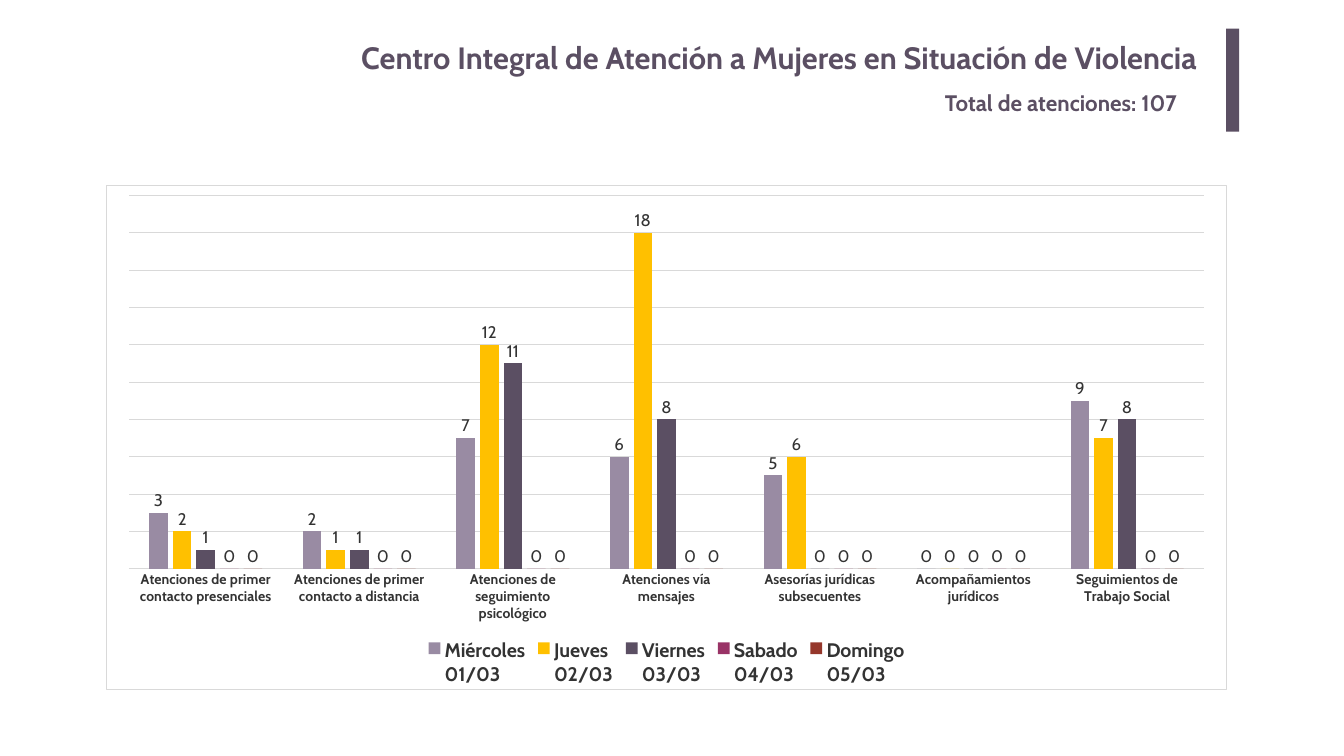
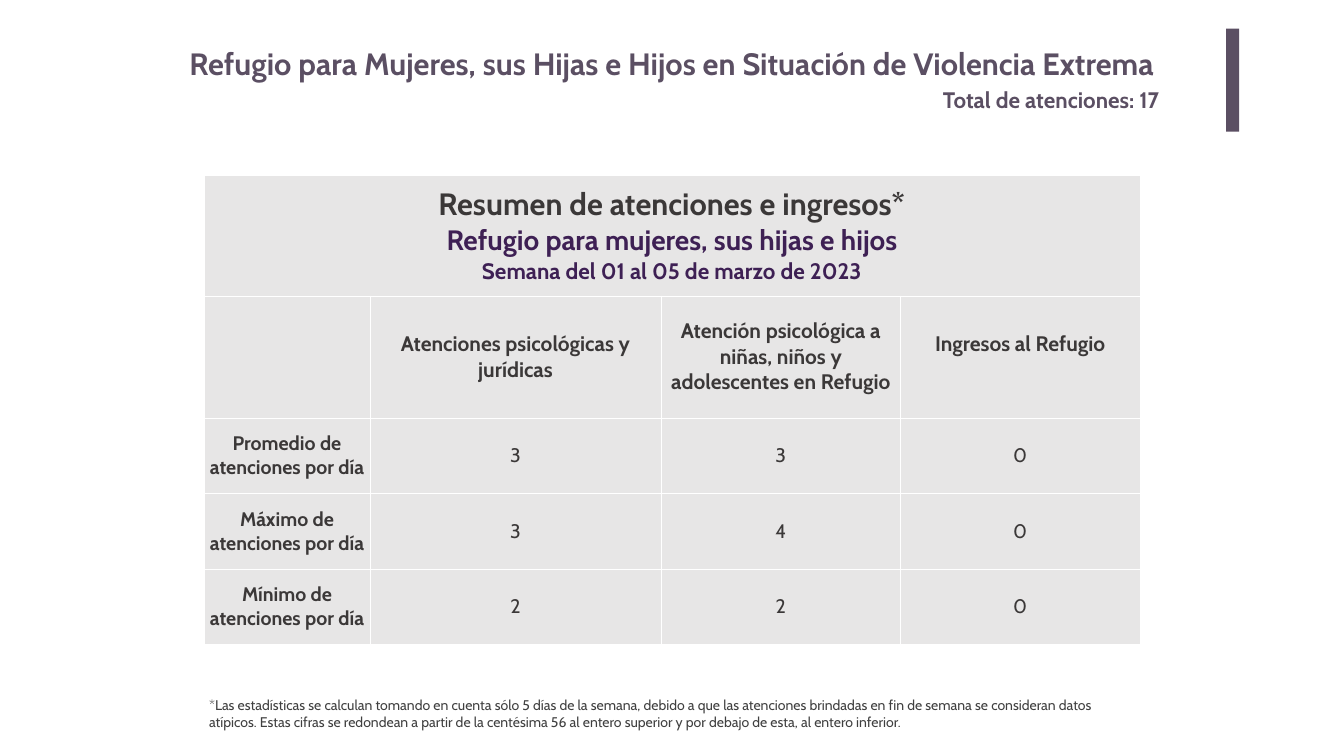
from dataclasses import dataclass

from lxml import etree
from pptx import Presentation
from pptx import util as u
from pptx.chart.data import CategoryChartData
from pptx.dml.color import RGBColor
from pptx.enum import chart as ch, shapes, text
from pptx.oxml import parse_xml
from pptx.oxml.ns import nsdecls, qn

MID = text.PP_ALIGN.CENTER
LEFT = text.PP_ALIGN.LEFT
RIGHT = text.PP_ALIGN.RIGHT


@dataclass(frozen=True)
class Theme:
    face: str = "Cabin"
    plum: str = "5B4F63"
    grape: str = "3E2054"
    ink: str = "333333"
    dark: str = "3B3838"
    note: str = "404040"
    cell: str = "E7E6E6"
    rule: str = "D9D9D9"
    white: str = "FFFFFF"
    black: str = "000000"
    days: tuple = ("998BA3", "FFC000", "5B4F63", "993366", "95372B")
    title: int = 44
    second: int = 40
    total: int = 32
    head: int = 30
    body: int = 28
    label: int = 24
    small: int = 20
    base: int = 10


def outline(tag, color, width):
    return (f'<a:{tag} {nsdecls("a")} w="{u.Pt(width)}"><a:solidFill>'
            f'<a:srgbClr val="{color}"/></a:solidFill></a:{tag}>')


class Deck:
    def __init__(self, theme):
        self.theme = theme
        self.prs = Presentation()
        self.prs.slide_width = u.Inches(26.67)
        self.prs.slide_height = u.Inches(15)
        self.slide = None

    def page(self):
        self.slide = self.prs.slides.add_slide(self.prs.slide_layouts[6])
        self.bar()

    def font(self, font, size, color, bold=False):
        font.name = self.theme.face
        font.size = u.Pt(size)
        font.bold = bold
        font.color.rgb = RGBColor.from_string(color)

    def bar(self):
        box = map(u.Inches, (24.33, 0.57, 0.26, 2.04))
        bar = self.slide.shapes.add_shape(shapes.MSO_SHAPE.RECTANGLE, *box)
        bar.shadow.inherit = False
        bar.fill.solid()
        bar.fill.fore_color.rgb = RGBColor.from_string(self.theme.plum)
        bar.line.fill.background()

    def text(self, box, words, size, color, bold=True, align=LEFT, pad=0.1):
        frame = self.slide.shapes.add_textbox(*map(u.Inches, box)).text_frame
        frame.word_wrap = True
        frame.margin_left = frame.margin_right = u.Inches(pad)
        frame.margin_top = frame.margin_bottom = u.Inches(pad / 2)
        para = frame.paragraphs[0]
        para.text = words
        para.alignment = align
        self.font(para.font, size, color, bold)

    def title(self, box, words, **style):
        self.text(box, words, self.theme.title, self.theme.plum, **style)

    def total(self, box, count):
        self.text(box, f"Total de atenciones: {count}", self.theme.total, self.theme.plum)

    def chart(self, box, groups, days):
        th = self.theme
        data = CategoryChartData()
        data.categories = groups
        for name, vals in days:
            data.add_series(name, vals)
        chart = self.slide.shapes.add_chart(
            ch.XL_CHART_TYPE.COLUMN_CLUSTERED, *map(u.Inches, box), data).chart
        self.font(chart.font, th.base, th.black)
        chart.has_title = False
        chart.has_legend = True
        chart.legend.position = ch.XL_LEGEND_POSITION.BOTTOM
        chart.legend.include_in_layout = False
        self.font(chart.legend.font, th.body, th.ink, True)

        plot = chart.plots[0]
        plot.gap_width, plot.overlap = 219, -27
        plot.vary_by_categories = False
        for series, color in zip(plot.series, th.days):
            series.format.fill.solid()
            series.format.fill.fore_color.rgb = RGBColor.from_string(color)
            labels = series.data_labels
            labels.show_value = True
            labels.position = ch.XL_LABEL_POSITION.OUTSIDE_END
            self.font(labels.font, th.label, th.ink)

        cat, val = chart.category_axis, chart.value_axis
        cat.major_tick_mark = ch.XL_TICK_MARK.NONE
        self.font(cat.tick_labels.font, th.small, th.ink, True)
        val.minimum_scale, val.maximum_scale, val.major_unit = 0, 20, 2
        val.has_major_gridlines = True
        val.visible = False
        for line in (cat.format.line, val.major_gridlines.format.line):
            line.color.rgb = RGBColor.from_string(th.rule)
            line.width = u.Pt(0.75)
        self.frame(chart)

    def frame(self, chart):
        th = self.theme
        body = chart.element.find(qn("c:chart"))
        body.addnext(parse_xml(
            f'<c:spPr {nsdecls("c", "a")}><a:solidFill><a:srgbClr val="{th.white}"/>'
            f'</a:solidFill>{outline("ln", th.rule, 0.75)}</c:spPr>'))
        area = body.find(qn("c:plotArea"))
        for old in area.findall(qn("c:layout")):
            area.remove(old)
        layout = etree.Element(qn("c:layout"))
        manual = etree.SubElement(layout, qn("c:manualLayout"))
        rules = (("layoutTarget", "inner"), ("xMode", "edge"), ("yMode", "edge"),
                 ("x", "0.02"), ("y", "0.02"), ("w", "0.96"), ("h", "0.74"))
        for tag, rule in rules:
            etree.SubElement(manual, qn(f"c:{tag}")).set("val", rule)
        area.insert(0, layout)

    def table(self, box, cols, rows):
        table = self.slide.shapes.add_table(
            len(rows), len(cols), *map(u.Inches, box)).table
        table.first_row = table.horz_banding = False
        for col, width in zip(table.columns, cols):
            col.width = u.Inches(width)
        for row, height in zip(table.rows, rows):
            row.height = u.Inches(height)
        for cell in table.iter_cells():
            cell.fill.solid()
            cell.fill.fore_color.rgb = RGBColor.from_string(self.theme.cell)
            cell.vertical_anchor = text.MSO_ANCHOR.MIDDLE
            cell.margin_left = cell.margin_right = 0
            cell.margin_top = cell.margin_bottom = 0
            props = cell._tc.get_or_add_tcPr()
            for spot, tag in enumerate(("lnL", "lnR", "lnT", "lnB")):
                props.insert(spot, parse_xml(outline(tag, self.theme.white, 1)))
        return table

    def cell(self, cell, *lines):
        frame = cell.text_frame
        for spot, (words, size, color, bold) in enumerate(lines):
            para = frame.add_paragraph() if spot else frame.paragraphs[0]
            para.text = words
            para.alignment = MID
            self.font(para.font, size, color, bold)


def center(deck):
    deck.page()
    deck.title((3.66, 0.67, 20.3, 1.02),
               "Centro Integral de Atención a Mujeres en Situación de Violencia",
               align=RIGHT, pad=0.2)
    deck.total((18.65, 1.71, 5.31, 0.65), 107)
    groups = ("Atenciones de primer contacto presenciales",
              "Atenciones de primer contacto a distancia",
              "Atenciones de seguimiento psicológico",
              "Atenciones vía mensajes",
              "Asesorías jurídicas subsecuentes",
              "Acompañamientos jurídicos",
              "Seguimientos de Trabajo Social")
    days = (("Miércoles\n01/03", (3, 2, 7, 6, 5, 0, 9)),
            ("Jueves\n02/03", (2, 1, 12, 18, 6, 0, 7)),
            ("Viernes\n03/03", (1, 1, 11, 8, 0, 0, 8)),
            ("Sabado\n04/03", (0,) * 7),
            ("Domingo\n05/03", (0,) * 7))
    deck.chart((2.11, 3.67, 22.23, 10.02), groups, days)


def refuge(deck):
    th = deck.theme
    deck.page()
    deck.total((18.61, 1.65, 5.35, 0.64), 17)
    deck.title((3.66, 0.84, 20.73, 0.84),
               "Refugio para Mujeres, sus Hijas e Hijos en Situación de Violencia Extrema")
    table = deck.table((4.05, 3.47, 18.56, 9.32), (3.29, 5.78, 4.75, 4.75),
                       (2.4, 2.42, 1.5, 1.5, 1.5))
    table.cell(0, 0).merge(table.cell(0, 3))
    deck.cell(table.cell(0, 0),
              ("Resumen de atenciones e ingresos*", th.title, th.dark, True),
              ("Refugio para mujeres, sus hijas e hijos", th.second, th.grape, True),
              ("Semana del 01 al 05 de marzo de 2023", th.total, th.grape, True))
    heads = ("Atenciones psicológicas y jurídicas",
             "Atención psicológica a niñas, niños y adolescentes en Refugio",
             "Ingresos al Refugio")
    for col, head in enumerate(heads, 1):
        deck.cell(table.cell(1, col), (head, th.head, th.dark, True))
    table.cell(1, 3).margin_bottom = u.Inches(0.52)
    rows = (("Promedio", 3, 3, 0), ("Máximo", 3, 4, 0), ("Mínimo", 2, 2, 0))
    for row, (name, *counts) in enumerate(rows, 2):
        deck.cell(table.cell(row, 0),
                  (f"{name} de atenciones por día", th.body, th.dark, True))
        for col, count in enumerate(counts, 1):
            deck.cell(table.cell(row, col), (str(count), th.body, th.dark, False))
    deck.text((4.05, 13.77, 18.56, 0.77),
              "*Las estadísticas se calculan tomando en cuenta sólo 5 días de la semana, "
              "debido a que las atenciones brindadas en fin de semana se consideran datos "
              "atípicos. Estas cifras se redondean a partir de la centésima 56 al entero "
              "superior y por debajo de esta, al entero inferior.",
              th.small, th.note, bold=False)


def main():
    deck = Deck(Theme())
    center(deck)
    refuge(deck)
    deck.prs.save("out.pptx")


if __name__ == "__main__":
    main()
